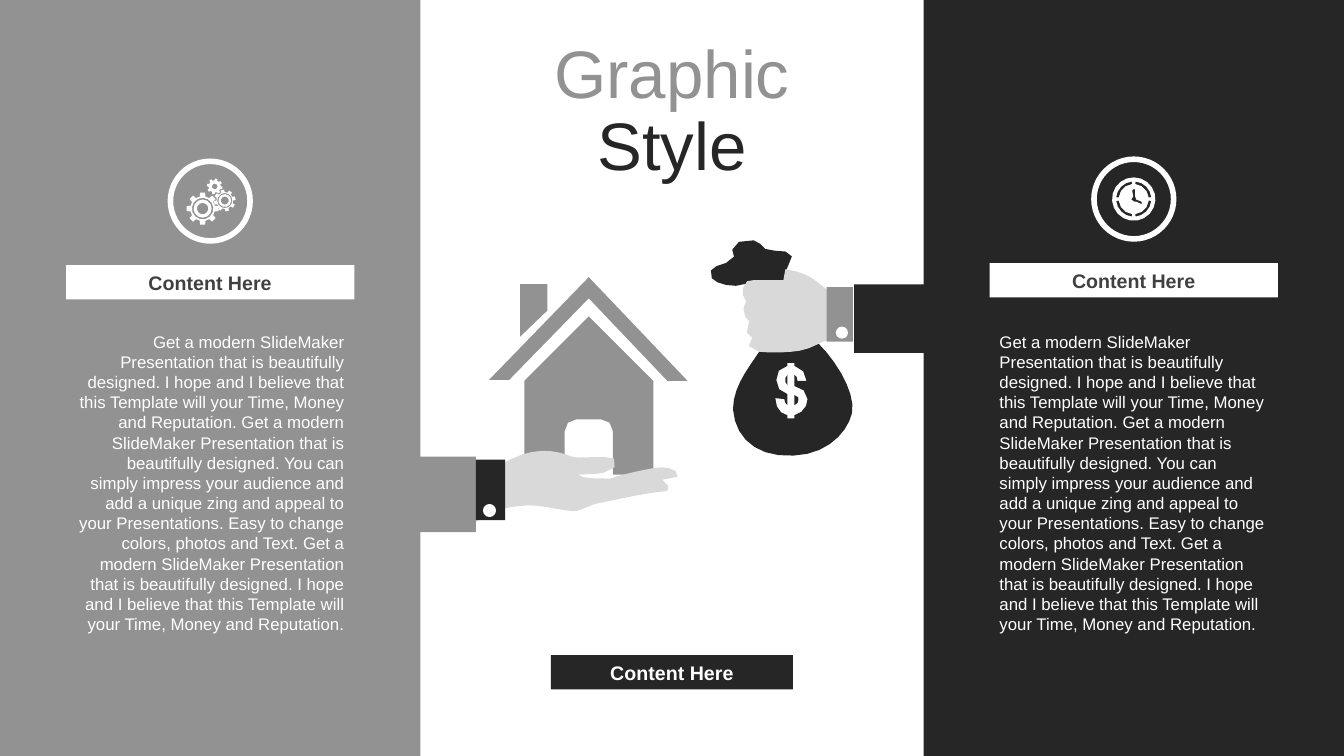
"""Build a three-panel slide on a grid of 1333 columns by 750 rows."""
import math

import pptx
import pptx.dml.color
import pptx.enum.shapes
import pptx.enum.text
import pptx.util

COLUMNS, ROWS = 1333, 750
CELL = pptx.util.Inches(0.01)
PANEL, BLOCK, BADGE, BAR = 417, 286, 79, 34
FONT = "Arial"
COLORS = {"gray": "929292", "dark": "262626", "white": "FFFFFF",
          "skin": "D9D9D9", "label": "404040"}
RECTANGLE = pptx.enum.shapes.MSO_SHAPE.RECTANGLE
OVAL = pptx.enum.shapes.MSO_SHAPE.OVAL
ALIGN = pptx.enum.text.PP_ALIGN
ANCHOR = pptx.enum.text.MSO_ANCHOR

PITCH = "Get a modern SlideMaker Presentation that is beautifully designed. "
HOPE = ("I hope and I believe that this Template will your Time, Money "
        "and Reputation.")
BODY = (PITCH + HOPE + " " + PITCH + "You can simply impress your audience and "
        "add a unique zing and appeal to your Presentations. Easy to change "
        "colors, photos and Text. " + PITCH + HOPE)

HOUSE = [
    [(584, 314), (648, 378), (648, 471), (608, 471), (608, 428),
     (608, 421, 603, 416, 596, 416), (572, 416),
     (565, 416, 560, 421, 560, 428), (560, 471), (520, 471), (520, 378)],
    [(516, 282), (543, 282), (543, 308), (516, 334)],
    [(584, 275), (682, 378), (662, 378), (584, 296), (505, 377), (485, 377)],
]
BAG = [
    [(753, 349), (773, 349, 791, 344, 812, 341), (831, 360, 849, 391, 845, 410),
     (841, 428, 821, 451, 787, 452), (750, 454, 729, 434, 727, 406),
     (727, 383, 744, 363, 753, 349)],
    [(781, 360), (781, 363), (773, 364, 770, 370, 770, 377),
     (770, 384, 774, 390, 781, 391), (781, 402), (779, 401, 778, 398, 778, 396),
     (769, 395), (769, 404, 774, 411, 781, 412), (781, 415), (788, 415), (788, 412),
     (796, 410, 801, 403, 801, 396), (801, 389, 795, 384, 788, 383), (788, 372),
     (790, 373, 791, 375, 791, 378), (800, 378), (800, 371, 795, 364, 788, 363),
     (788, 360)],
    [(788, 392), (792, 393, 792, 395, 792, 396), (792, 399, 791, 401, 788, 402)],
    [(781, 372), (781, 382), (779, 379), (779, 375)],
]
KNOT = [[(733, 240), (754, 235, 752, 242, 759, 247), (767, 252, 798, 242, 780, 268),
         (779, 278, 778, 272, 778, 279), (771, 278, 751, 279, 738, 282),
         (729, 286, 710, 282, 706, 276), (701, 266, 710, 264, 720, 261),
         (739, 255, 716, 248, 733, 240)]]
FIST = [[(746, 335), (743, 333, 736, 329, 743, 319), (738, 316, 735, 304, 740, 299),
         (736, 293, 734, 286, 741, 279), (747, 278), (777, 278), (779, 267),
         (804, 271, 807, 278, 820, 287), (820, 338), (815, 338, 806, 346, 793, 348),
         (781, 350, 763, 350, 753, 349), (740, 349, 741, 339, 746, 335)]]
PALM = [[(449, 484), (451, 499, 457, 527, 467, 521), (490, 507, 495, 504, 516, 502),
         (535, 499, 559, 508, 572, 507), (576, 506, 585, 502, 590, 500),
         (615, 495, 635, 490, 662, 487), (666, 486, 662, 479, 657, 476), (672, 473),
         (673, 464, 659, 462, 645, 465), (630, 468, 620, 470, 605, 475),
         (594, 474, 580, 476, 573, 471), (582, 470, 592, 471, 599, 469),
         (608, 469, 615, 459, 609, 455), (595, 451, 575, 456, 567, 453),
         (555, 448, 533, 442, 506, 456), (488, 466, 473, 473, 449, 484)]]
CLOCK_HANDS = [(1125, 187), (1123, 189), (1124, 195), (1122, 198), (1125, 200),
               (1127, 200), (1131, 202), (1133, 202), (1132, 200), (1127, 198),
               (1126, 195), (1126, 189)]


def color_of(name):
    """Return the named colour."""
    return pptx.dml.color.RGBColor.from_string(COLORS[name])


def paint(shape, color):
    """Give a shape a flat fill with no line or shadow."""
    shape.shadow.inherit = False
    shape.fill.solid()
    shape.fill.fore_color.rgb = color_of(color)
    shape.line.fill.background()


def add_block(page, kind, left, top, width, height, color):
    """Add a flat preset shape placed in grid cells."""
    place = [round(cells * CELL) for cells in (left, top, width, height)]
    shape = page.shapes.add_shape(kind, *place)
    paint(shape, color)
    return shape


def flatten(contour):
    """Turn corners (x, y) and cubic curves (six numbers) into points."""
    points = []
    for step in contour:
        if len(step) == 2:
            points.append(step)
            continue
        knots = [points[-1], step[:2], step[2:4], step[4:]]
        count = max(2, min(7, round(math.dist(knots[0], knots[3]) / 8)))
        for index in range(1, count + 1):
            t = index / count
            weights = [math.comb(3, k) * t**k * (1 - t)**(3 - k) for k in range(4)]
            points.append(tuple(sum(w * knot[axis] for w, knot in zip(weights, knots))
                                for axis in (0, 1)))
    return points


def add_drawing(page, contours, color):
    """Add one freeform made of closed contours, nested ones being holes."""
    builder = None
    for contour in contours:
        points = [(x * CELL, y * CELL) for x, y in flatten(contour)]
        if builder is None:
            builder = page.shapes.build_freeform(*points[0], scale=1.0)
        else:
            builder.move_to(*points[0])
        builder.add_line_segments(points[1:], close=True)
    paint(builder.convert_to_shape(), color)


def polar(x, y, radius, degrees):
    """Return the point at a clockwise angle from twelve o'clock."""
    angle = math.radians(degrees)
    return x + radius * math.sin(angle), y - radius * math.cos(angle)


def arc(x, y, radius, start=0, end=360):
    """Return points along an arc, more of them for a longer one."""
    count = max(3, round((8 + radius * 0.5) * abs(end - start) / 360))
    return [polar(x, y, radius, start + (end - start) * index / count)
            for index in range(count + 1)]


def gear(x, y, radius, turn, rings):
    """Return the contours of an eight-toothed gear with inner rings."""
    teeth = [polar(x, y, radius * share, turn + 45 * tooth + offset)
             for tooth in range(8)
             for share, offset in ((0.77, -13), (1, -9), (1, 9), (0.77, 13))]
    return [teeth] + [arc(x, y, ring) for ring in rings]


def clock(x, y):
    """Return the contours of a clock face with a ring in four parts."""
    parts = [arc(x, y, 17.5, turn + 6, turn + 84) + arc(x, y, 15, turn + 84, turn + 6)
             for turn in range(0, 360, 90)]
    return [arc(x, y, 21.5)] + parts + [CLOCK_HANDS]


def write(box, text, size, color, align, anchor=ANCHOR.MIDDLE, bold=False):
    """Write one paragraph into a shape and return the paragraph."""
    frame = box.text_frame
    frame.word_wrap = True
    frame.vertical_anchor = anchor
    para = frame.paragraphs[0]
    para.alignment = align
    para.font.name, para.font.size, para.font.bold = FONT, pptx.util.Pt(size), bold
    para.font.color.rgb = color_of(color)
    para.add_run().text = text
    return para


def add_label(page, left, top, width, fill, color):
    """Add a bar with a bold centred label."""
    bar = add_block(page, RECTANGLE, left, top, width, BAR, fill)
    write(bar, "Content Here", 14, color, ALIGN.CENTER, bold=True)


def add_text_box(page, left, top, width, height):
    """Add a text box placed in grid cells."""
    return page.shapes.add_textbox(*[round(n * CELL) for n in (left, top, width, height)])


def add_side(page, panel_left, badge_top, color, align):
    """Add a panel's badge, label and running text."""
    left = panel_left + (PANEL - BLOCK) / 2
    add_label(page, left, badge_top + 103, BLOCK, "white", "label")
    badge = add_block(page, OVAL, panel_left + (PANEL - BADGE) / 2, badge_top,
                      BADGE, BADGE, color)
    badge.line.color.rgb = color_of("white")
    badge.line.width = pptx.util.Pt(4)
    body = add_text_box(page, left, 324, BLOCK, 313)
    write(body, BODY, 12, "white", align, ANCHOR.TOP)


def add_title(page):
    """Add the two-colour title."""
    box = add_text_box(page, 489, 30, 355, 164)
    para = write(box, "Graphic ", 48, "gray", ALIGN.CENTER)
    para.line_spacing = 0.9
    span = para.add_run()
    span.text = "Style"
    span.font.color.rgb = color_of("dark")


def main():
    """Build and save the deck."""
    deck = pptx.Presentation()
    deck.slide_width, deck.slide_height = COLUMNS * CELL, ROWS * CELL
    page = deck.slides.add_slide(deck.slide_layouts[6])
    right = COLUMNS - PANEL
    add_drawing(page, HOUSE, "gray")
    add_title(page)
    add_block(page, RECTANGLE, right, 0, PANEL, ROWS, "dark")
    add_block(page, RECTANGLE, 0, 0, PANEL, ROWS, "gray")
    for contours, color in ((BAG, "dark"), (KNOT, "dark"), (FIST, "skin"), (PALM, "skin")):
        add_drawing(page, contours, color)
    for kind, left, top, width, height, color in (
            (RECTANGLE, 847, 282, 115, 68, "dark"), (RECTANGLE, 820, 285, 26, 54, "gray"),
            (OVAL, 829, 324, 12, 12, "white"), (RECTANGLE, 352, 453, 120, 75, "gray"),
            (RECTANGLE, 472, 456, 29, 60, "dark"), (OVAL, 479, 500, 13, 13, "white")):
        add_block(page, kind, left, top, width, height, color)
    add_side(page, right, 158, "dark", ALIGN.LEFT)
    add_side(page, 0, 160, "gray", ALIGN.RIGHT)
    gears = (gear(201, 207, 16, 0, (10.7, 9, 5.7)) + gear(223, 199, 10.8, -13, (7.5, 6.3, 4))
             + gear(213, 185, 7.8, 11, (2.8,)))
    add_drawing(page, gears, "white")
    add_drawing(page, clock(1124.5, 197.5), "white")
    add_label(page, (COLUMNS - 240) / 2, 650, 240, "dark", "white")
    deck.save("out.pptx")


if __name__ == "__main__":
    main()
